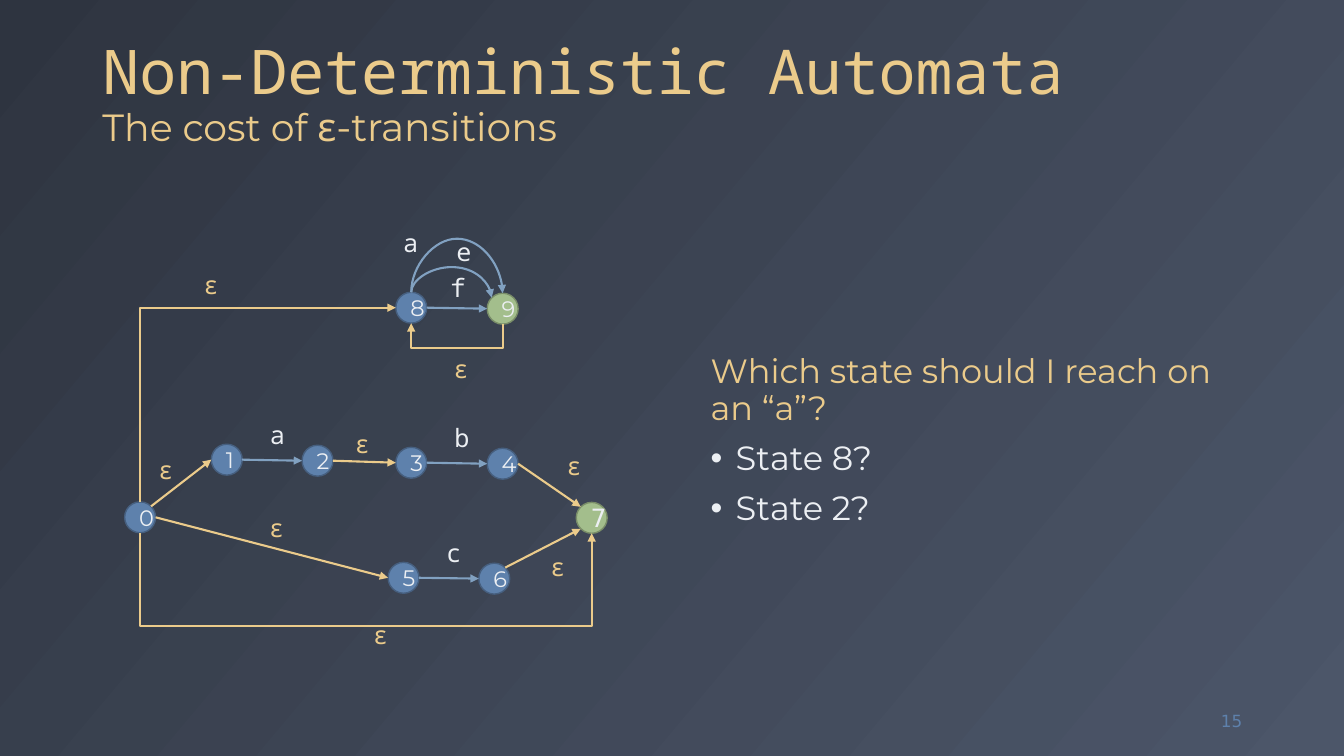
from lxml import etree
from pptx import Presentation
from pptx.dml.color import RGBColor
from pptx.enum.shapes import MSO_CONNECTOR, MSO_SHAPE
from pptx.enum.text import MSO_ANCHOR, MSO_AUTO_SIZE, PP_ALIGN
from pptx.oxml.ns import qn
from pptx.util import Inches, Pt

LINE, ELBOW, CURVE = MSO_CONNECTOR.STRAIGHT, MSO_CONNECTOR.ELBOW, MSO_CONNECTOR.CURVE
OVAL = MSO_SHAPE.OVAL
LEFT, MID, RIGHT = PP_ALIGN.LEFT, PP_ALIGN.CENTER, PP_ALIGN.RIGHT
TOP, CENTER, BOTTOM = MSO_ANCHOR.TOP, MSO_ANCHOR.MIDDLE, MSO_ANCHOR.BOTTOM
GROW = MSO_AUTO_SIZE.SHAPE_TO_FIT_TEXT

MONO, SANS, PLAIN = "Noto Sans Mono", "Montserrat", "DejaVu Sans"
GOLD, WHITE, BLUE, SKY, GREEN = "EBCB8B", "ECEFF3", "5E81AC", "81A1C1", "A3BE8C"
RIM = {BLUE: "465F7F", GREEN: "798D68"}

# The grid has 80 columns and 45 rows of square cells
COLS, ROWS = 80, 45
SIZE = 1.84  # state diameter in cells
DIAG = 0.71
SIDES = {"n": (0, -1), "e": (1, 0), "s": (0, 1), "w": (-1, 0),
         "ne": (DIAG, -DIAG), "nw": (-DIAG, -DIAG), "sw": (-DIAG, DIAG)}


def paint(code):
    return RGBColor.from_string(code)


def write(para, text, size=18, font=MONO, color=WHITE, align=LEFT,
          lead=None, gap=None, bullet=False):
    """Add one run of text to a paragraph and format both."""
    if bullet:
        props = para._p.get_or_add_pPr()
        props.set("marL", str(Inches(0.25)))
        props.set("indent", str(-Inches(0.25)))
        etree.SubElement(props, qn("a:buFont")).set("typeface", "Arial")
        etree.SubElement(props, qn("a:buChar")).set("char", "•")
    para.alignment = align
    if lead:
        para.line_spacing = lead
    if gap is not None:
        para.space_before = Pt(gap)
    run = para.add_run()
    run.text = text
    run.font.size = Pt(size)
    run.font.name = font
    run.font.color.rgb = paint(color)


class Board:
    def __init__(self, deck):
        self.slide = deck.slides.add_slide(deck.slide_layouts[5])
        self.shapes = self.slide.shapes
        self.cell = deck.slide_width / COLS
        self.spots = {}

    def span(self, *cells):
        return [round(n * self.cell) for n in cells]

    def back(self, first, last, angle):
        fill = self.slide.background.fill
        fill.gradient()
        fill.gradient_angle = 360 - angle
        for stop, code, place in zip(fill.gradient_stops, (first, last), (0, 1)):
            stop.color.rgb = paint(code)
            stop.position = place

    def title(self, box, head, parts):
        shape = self.shapes.title
        shape.left, shape.top, shape.width, shape.height = self.span(*box)
        frame = shape.text_frame
        frame.vertical_anchor = BOTTOM
        frame.word_wrap = True
        para = frame.paragraphs[0]
        write(para, head, size=44, color=GOLD, lead=0.9, gap=0)
        para.add_line_break()
        for text, size in parts:
            write(para, text, size=size, font=SANS, color=GOLD, lead=0.9)

    def frame(self, box, anchor=TOP, wrap=True):
        frame = self.shapes.add_textbox(*self.span(*box)).text_frame
        frame.word_wrap = wrap
        frame.vertical_anchor = anchor
        return frame

    def label(self, text, left, top):
        frame = self.frame((left, top, 2.06, 2.42), wrap=False)
        frame.auto_size = GROW
        write(frame.paragraphs[0], text, color=GOLD if text == "ε" else WHITE)

    def state(self, name, x, y, fill=BLUE, size=16, font=SANS):
        self.spots[name] = x, y
        box = self.span(x - SIZE / 2, y - SIZE / 2, SIZE, SIZE)
        shape = self.shapes.add_shape(OVAL, *box)
        shape.shadow.inherit = False
        shape.fill.solid()
        shape.fill.fore_color.rgb = paint(fill)
        shape.line.color.rgb = paint(RIM[fill])
        shape.line.width = Pt(1)
        shape.text_frame.vertical_anchor = CENTER
        write(shape.text_frame.paragraphs[0], name, size=size, font=font, align=MID)

    def point(self, port):
        """Turn a port such as '7 nw' into a spot on that state's rim."""
        name, side = port.split()
        return self.span(*(mid + SIZE / 2 * way
                           for mid, way in zip(self.spots[name], SIDES[side])))

    def style(self, line, color):
        line.line.color.rgb = paint(color)
        line.line.width = Pt(1.5)
        tail = etree.SubElement(line.line._get_or_add_ln(), qn("a:tailEnd"))
        tail.set("type", "triangle")
        etree.SubElement(line._element.spPr, qn("a:effectLst"))

    def arrow(self, start, end, color):
        line = self.shapes.add_connector(LINE, *self.point(start), *self.point(end))
        self.style(line, color)

    def turn(self, start, end, color, kind=ELBOW, row=None):
        """Leave vertically; go by way of a row, or bend once without one."""
        (x1, y1), (x2, y2) = self.point(start), self.point(end)
        wide, high = abs(y2 - y1), abs(x2 - x1)
        line = self.shapes.add_connector(kind, 0, 0, 0, 0)
        line.left, line.top = (x1 + x2 - wide) // 2, (y1 + y2 - high) // 2
        line.width, line.height = wide, high
        props = line._element.spPr
        form, shape = props.find(qn("a:xfrm")), props.find(qn("a:prstGeom"))
        form.set("flipH", "1")
        if row is None:
            shape.set("prst", "bentConnector2")
            form.set("flipV", "1")
            angle = 90
        else:
            angle = 270 if x2 > x1 else 90
            share = (self.span(row)[0] - y1) / (y2 - y1)
            guide = etree.SubElement(shape.find(qn("a:avLst")), qn("a:gd"))
            guide.set("name", "adj1")
            guide.set("fmla", f"val {round(share * 100000)}")
        form.set("rot", str(angle * 60000))
        self.style(line, color)


def main():
    deck = Presentation()
    deck.slide_width, deck.slide_height = Inches(13.33), Inches(7.5)
    board = Board(deck)
    board.back("2E3440", "4C5669", 40)

    # Title and slide number
    board.title((5.5, 1.08, 69, 8.16), "Non-Deterministic Automata",
                [("The cost of ", 27), ("ε-transitions", 28)])
    page = board.frame((69.54, 41.7, 5, 2.4), CENTER)
    write(page.paragraphs[0], "15", size=12, font=PLAIN, color=BLUE, align=RIGHT)

    # States
    for name, x, y in [("0", 8.34, 30.8), ("1", 13.5, 27.37), ("2", 18.9, 27.43),
                       ("3", 24.48, 27.55), ("4", 29.92, 27.61), ("5", 24.02, 34.4),
                       ("6", 29.42, 34.45), ("8", 24.48, 18.32)]:
        board.state(name, x, y)
    board.state("9", 29.92, 18.38, GREEN)
    board.state("7", 35.22, 30.83, GREEN, 18, PLAIN)

    # Straight moves
    for start, end in [("1 e", "2 w"), ("3 e", "4 w"), ("5 e", "6 w"), ("8 e", "9 w")]:
        board.arrow(start, end, SKY)
    for start, end in [("0 ne", "1 w"), ("0 e", "5 w"), ("2 e", "3 w"),
                       ("4 e", "7 nw"), ("6 ne", "7 sw")]:
        board.arrow(start, end, GOLD)

    # Bent and curved moves
    board.turn("0 n", "8 w", GOLD)
    board.turn("0 s", "7 s", GOLD, row=37.14)
    board.turn("9 s", "8 s", GOLD, row=20.76)
    board.turn("8 n", "9 nw", SKY, CURVE, row=15.9)
    board.turn("8 n", "9 n", SKY, CURVE, row=14.16)

    # Labels of the moves
    for text, left, top in [
            ("a", 15.48, 24.66), ("b", 26.46, 24.84), ("c", 25.98, 31.68),
            ("a", 23.4, 13.26), ("e", 26.58, 13.8), ("f", 26.22, 15.9),
            ("ε", 20.52, 25.2), ("ε", 8.82, 26.76), ("ε", 15.42, 30.18),
            ("ε", 33.12, 26.52), ("ε", 32.16, 32.52), ("ε", 21.6, 36.6),
            ("ε", 26.4, 20.76), ("ε", 11.52, 15.72)]:
        board.label(text, left, top)

    # Question
    body = board.frame((41.7, 12, 32.76, 28.56), CENTER)
    write(body.paragraphs[0], "Which state should I reach on an “a”?",
          size=24, font=SANS, color=GOLD, lead=0.9)
    for text in ("State 8?", "State 2?"):
        write(body.add_paragraph(), text, size=24, font=SANS,
              lead=0.9, gap=10, bullet=True)

    deck.save("out.pptx")


if __name__ == "__main__":
    main()
